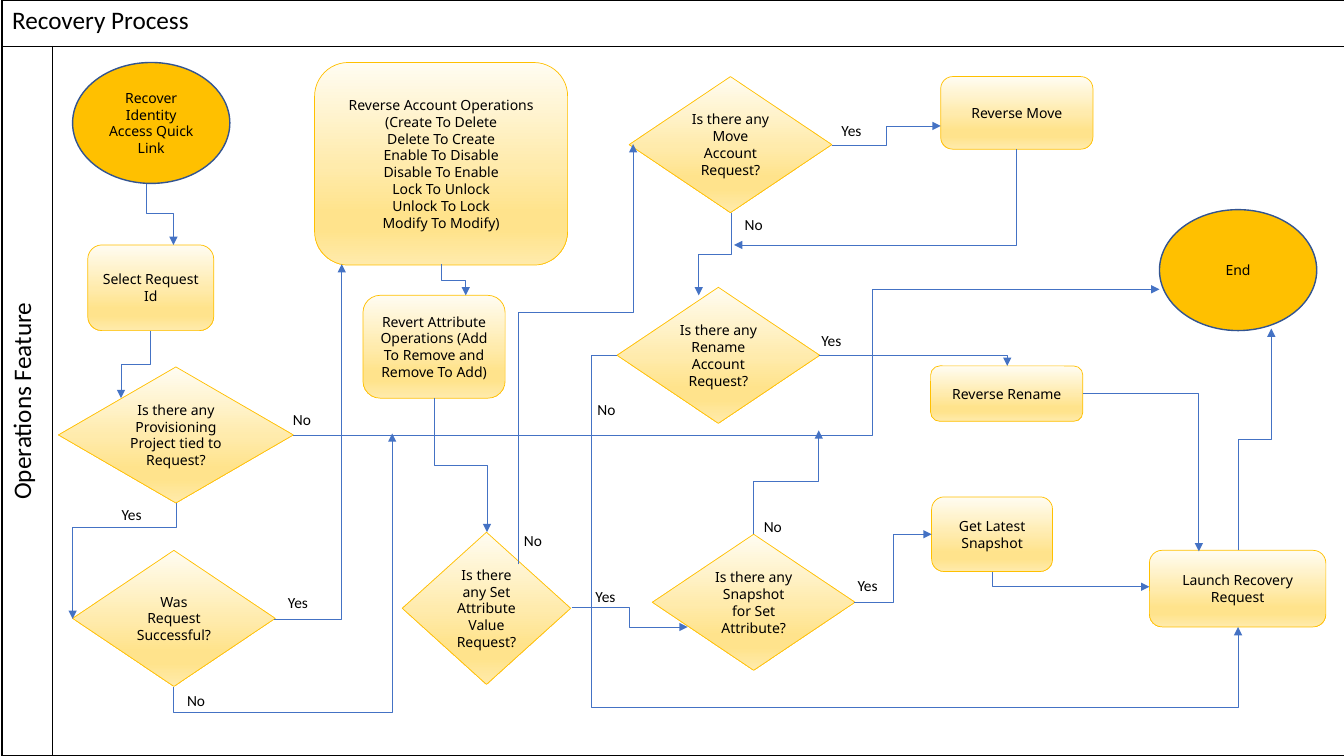
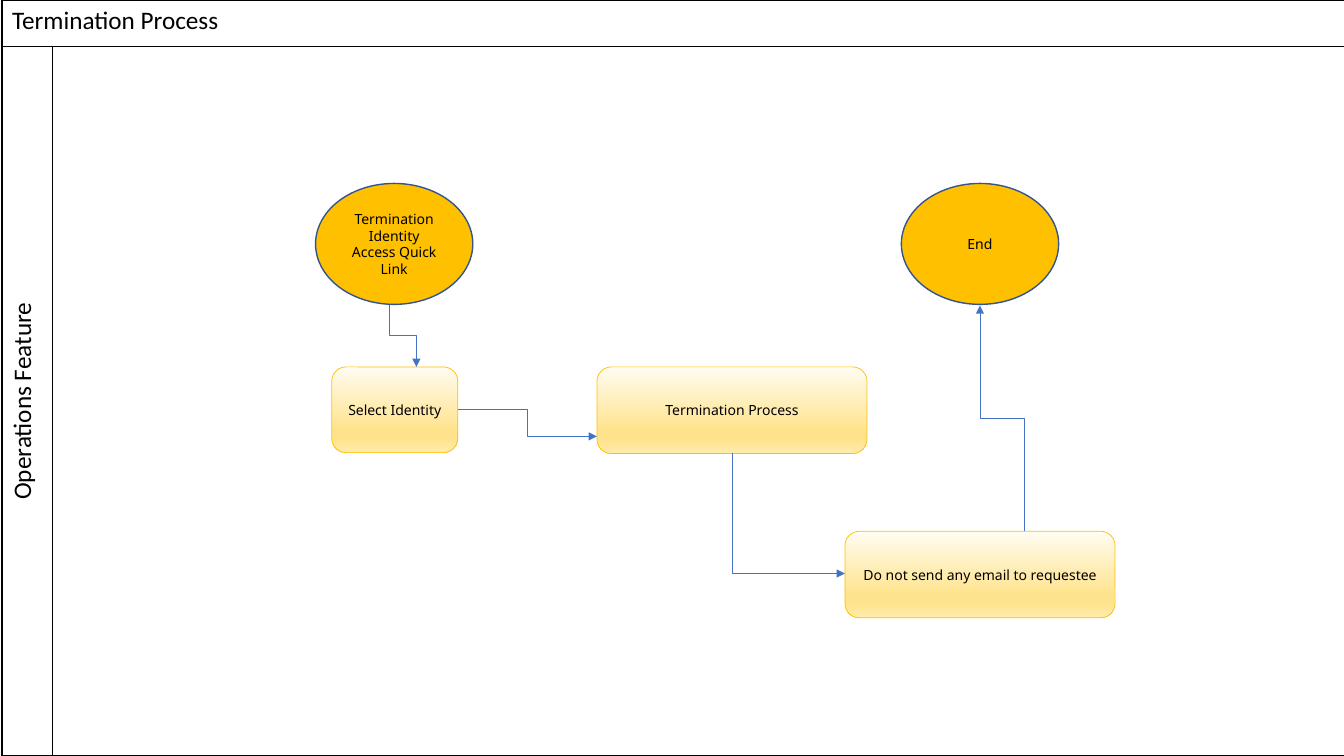
"""Build the recovery and termination flowcharts as a two-slide deck."""
from dataclasses import dataclass

from lxml import etree
from pptx import Presentation
from pptx import util as u
from pptx.dml.color import RGBColor
from pptx.enum import shapes, text
from pptx.oxml.ns import qn

PX = 9144
ROUND = shapes.MSO_SHAPE.ROUNDED_RECTANGLE
DIAMOND = shapes.MSO_SHAPE.DIAMOND
OVAL = shapes.MSO_SHAPE.OVAL


@dataclass(frozen=True)
class Theme:
    ink: str = "000000"
    arrow: str = "4472C4"
    gold: str = "FFC000"
    oval_line: str = "325491"
    gradient: tuple = ((0, "FFFCF2"), (51, "FFEBAC"), (74, "FFE38C"), (83, "FFE38C"), (100, "FFEBAC"))
    heading_font: str = "Calibri"
    node_font: str = "Noto Sans"
    heading_size: int = 18
    node_size: int = 10
    label_size: int = 11
    thin: float = 0.5
    border: int = 1


@dataclass(frozen=True)
class Node:
    kind: int
    left: int
    top: int
    width: int
    height: int
    words: str


@dataclass(frozen=True)
class Label:
    left: int
    top: int
    words: str


@dataclass(frozen=True)
class Chart:
    title: str
    nodes: tuple
    routes: tuple
    labels: tuple = ()


THEME = Theme()
LANE = "Operations Feature"
SLIDE_SIZE = (1333, 750)
FRAME_LEFT = 2
LANE_COLUMNS = (50, 1282)
LANE_ROWS = (46, 704)
OVAL_SIZE = (156, 120)
SELECT_SIZE = (125, 85)
CHOICE_SIZE = (201, 135)
STEP_SIZE = (268, 86)
LABEL_SIZE = (49, 34)

RECOVERY = Chart(
    "Recovery Process",
    nodes=(
        Node(OVAL, 72, 62, *OVAL_SIZE, "Recover Identity Access Quick Link"),
        Node(ROUND, 87, 243, *SELECT_SIZE, "Select Request Id"),
        Node(DIAMOND, 72, 546, *CHOICE_SIZE, "Was Request Successful?"),
        Node(DIAMOND, 58, 364, 233, 135, "Is there any Provisioning Project tied to Request?"),
        Node(DIAMOND, 624, 76, *CHOICE_SIZE, "Is there any Move Account Request?"),
        Node(DIAMOND, 612, 285, *CHOICE_SIZE, "Is there any Rename Account Request?"),
        Node(ROUND, 312, 62, 251, 201,
             "Reverse Account Operations\n(Create To Delete\nDelete To Create\nEnable To Disable\n"
             "Disable To Enable\nLock To Unlock\nUnlock To Lock\nModify To Modify)"),
        Node(ROUND, 360, 293, 141, 102, "Revert Attribute Operations (Add To Remove and Remove To Add)"),
        Node(DIAMOND, 399, 528, 167, 151, "Is there any Set Attribute Value Request?"),
        Node(DIAMOND, 647, 530, *CHOICE_SIZE, "Is there any Snapshot for Set Attribute?"),
        Node(ROUND, 933, 76, 151, 72, "Reverse Move"),
        Node(OVAL, 1150, 208, *OVAL_SIZE, "End"),
        Node(ROUND, 923, 363, 151, 55, "Reverse Rename"),
        Node(ROUND, 924, 493, 120, 74, "Get Latest Snapshot"),
        Node(ROUND, 1140, 546, 175, 76, "Launch Recovery Request"),
    ),
    routes=(
        ((291, 432), (865, 432), (865, 287), (1150, 287)),
        ((172, 682), (172, 707), (389, 707), (389, 430)),
        ((1228, 546), (1228, 436), (1261, 436), (1261, 326)),
        ((747, 530), (747, 478), (812, 478), (812, 427)),
        ((567, 603), (624, 603), (624, 622), (682, 622)),
        ((272, 614), (339, 614), (339, 262)),
        ((847, 598), (886, 598), (886, 530), (924, 530)),
        ((514, 560), (514, 310), (628, 310), (628, 143)),
        ((812, 353), (999, 353), (999, 363)),
        ((725, 211), (725, 252), (693, 252), (693, 293)),
        ((825, 144), (879, 144), (879, 125), (933, 125)),
        ((1008, 148), (1008, 243), (728, 243)),
        ((984, 567), (984, 582), (1140, 582)),
        ((1074, 390), (1189, 390), (1189, 547)),
        ((612, 353), (586, 353), (586, 702), (1228, 702), (1228, 622)),
        ((145, 182), (145, 212), (172, 212), (172, 243)),
        ((149, 328), (149, 362), (120, 362), (120, 395)),
        ((175, 499), (175, 523), (72, 523), (72, 614)),
        ((438, 262), (438, 278), (462, 278), (462, 293)),
        ((431, 395), (431, 462), (483, 462), (483, 528)),
    ),
    labels=(
        Label(170, 678, "No"),
        Label(576, 575, "Yes"),
        Label(836, 564, "Yes"),
        Label(106, 493, "Yes"),
        Label(800, 321, "Yes"),
        Label(820, 112, "Yes"),
        Label(723, 206, "No"),
        Label(577, 389, "No"),
        Label(275, 399, "No"),
        Label(271, 581, "Yes"),
        Label(504, 519, "No"),
        Label(742, 505, "No"),
    ),
)

TERMINATION = Chart(
    "Termination Process",
    nodes=(
        Node(OVAL, 313, 182, *OVAL_SIZE, "Termination Identity Access Quick Link"),
        Node(ROUND, 329, 364, *SELECT_SIZE, "Select Identity"),
        Node(ROUND, 592, 364, *STEP_SIZE, "Termination Process"),
        Node(OVAL, 894, 182, *OVAL_SIZE, "End"),
        Node(ROUND, 838, 527, *STEP_SIZE, "Do not send any email to requestee"),
    ),
    routes=(
        ((386, 303), (386, 333), (413, 333), (413, 364)),
        ((454, 406), (523, 406), (523, 433), (592, 433)),
        ((1016, 527), (1016, 415), (972, 415), (972, 303)),
        ((726, 449), (726, 569), (838, 569)),
    ),
)


def px(*lengths: float) -> list[u.Emu]:
    """Turn lengths in px into EMU."""
    return [u.Emu(round(length * PX)) for length in lengths]


def rgb(code: str) -> RGBColor:
    """Turn a hex code into a colour."""
    return RGBColor.from_string(code)


def add_child(parent, tag: str, **attributes: str):
    """Append an XML child with the given attributes."""
    return etree.SubElement(parent, qn(tag), attributes)


def write(frame, words: str, *, font: str, size: int, centred: bool = True) -> None:
    """Fill a text frame, one paragraph per line of text."""
    for index, line in enumerate(words.split("\n")):
        para = frame.add_paragraph() if index else frame.paragraphs[0]
        para.alignment = text.PP_ALIGN.CENTER if centred else text.PP_ALIGN.LEFT
        span = para.add_run()
        span.text = line
        span.font.name = font
        span.font.size = u.Pt(size)
        span.font.color.rgb = rgb(THEME.ink)


def outline(line, colour: str, width: float) -> None:
    """Give a line its colour and width."""
    line.color.rgb = rgb(colour)
    line.width = u.Pt(width)


def border_cell(cell) -> None:
    """Clear the fill of a table cell and draw its four borders."""
    cell.fill.background()
    properties = cell._tc.get_or_add_tcPr()
    for index, side in enumerate(("a:lnL", "a:lnR", "a:lnT", "a:lnB")):
        edge = add_child(properties, side, w=str(u.Pt(THEME.border)))
        add_child(add_child(edge, "a:solidFill"), "a:srgbClr", val=THEME.ink)
        properties.insert(index, edge)


def add_lane(page, title: str) -> None:
    """Draw the titled swim lane that frames a page."""
    place = px(FRAME_LEFT, 0, sum(LANE_COLUMNS), sum(LANE_ROWS))
    table = page.shapes.add_table(2, 2, *place).table
    table.first_row = table.horz_banding = False
    for column, width in zip(table.columns, px(*LANE_COLUMNS)):
        column.width = width
    for row, height in zip(table.rows, px(*LANE_ROWS)):
        row.height = height
    for cell in table.iter_cells():
        border_cell(cell)
    table.cell(0, 0).merge(table.cell(0, 1))
    style = {"font": THEME.heading_font, "size": THEME.heading_size}
    write(table.cell(0, 0).text_frame, title, centred=False, **style)
    lane = table.cell(1, 0)
    lane._tc.get_or_add_tcPr().set("vert", "vert270")
    write(lane.text_frame, LANE, **style)


def fill_gradient(box) -> None:
    """Fill a shape with the theme gradient from top to bottom."""
    box.fill.gradient()
    box.fill.gradient_angle = 270
    stops = box.element.spPr.find(".//" + qn("a:gsLst"))
    for stop in list(stops):
        stops.remove(stop)
    for percent, colour in THEME.gradient:
        stop = add_child(stops, "a:gs", pos=str(percent * 1000))
        add_child(stop, "a:srgbClr", val=colour)


def add_node(page, node: Node) -> None:
    """Draw one step, decision or terminal."""
    place = px(node.left, node.top, node.width, node.height)
    box = page.shapes.add_shape(node.kind, *place)
    box.shadow.inherit = False
    if node.kind == OVAL:
        box.fill.solid()
        box.fill.fore_color.rgb = rgb(THEME.gold)
        outline(box.line, THEME.oval_line, THEME.border)
    else:
        fill_gradient(box)
        outline(box.line, THEME.gold, THEME.thin)
    box.text_frame.word_wrap = True
    box.text_frame.vertical_anchor = text.MSO_ANCHOR.MIDDLE
    write(box.text_frame, node.words, font=THEME.node_font, size=THEME.node_size)


def add_route(page, points: tuple) -> None:
    """Draw a bent arrow through right-angled points."""
    start, end = points[0], points[-1]
    delta = (end[0] - start[0], end[1] - start[1])
    axis = int(start[0] == points[1][0])
    width, height = abs(delta[axis]), abs(delta[1 - axis])
    left = (start[0] + end[0] - width) / 2
    top = (start[1] + end[1] - height) / 2
    corners = px(left, top, left + width, top + height)
    arrow = page.shapes.add_connector(shapes.MSO_CONNECTOR.ELBOW, *corners)
    properties = arrow.element.spPr
    frame = properties.find(qn("a:xfrm"))
    frame.set("rot", str(axis * 90 * 60000))
    frame.set("flipH", str(int(delta[axis] < 0)))
    frame.set("flipV", str(int(delta[0] > 0 if axis else delta[1] < 0)))
    geometry = properties.find(qn("a:prstGeom"))
    geometry.set("prst", f"bentConnector{len(points) - 1}")
    guides = geometry.find(qn("a:avLst"))
    for index, point in enumerate(points[1:-2]):
        along = (axis + index) % 2
        share = round((point[along] - start[along]) / delta[along] * 100000)
        add_child(guides, "a:gd", name=f"adj{index + 1}", fmla=f"val {share}")
    outline(arrow.line, THEME.arrow, THEME.thin)
    add_child(properties.find(qn("a:ln")), "a:tailEnd", type="triangle")
    add_child(properties, "a:effectLst")


def add_label(page, label: Label) -> None:
    """Write the answer beside an arrow."""
    frame = page.shapes.add_textbox(*px(label.left, label.top, *LABEL_SIZE)).text_frame
    frame.word_wrap = True
    frame.vertical_anchor = text.MSO_ANCHOR.MIDDLE
    write(frame, label.words, font=THEME.heading_font, size=THEME.label_size)


def main() -> None:
    """Build and save the deck."""
    deck = Presentation()
    deck.slide_width, deck.slide_height = px(*SLIDE_SIZE)
    for chart in (RECOVERY, TERMINATION):
        page = deck.slides.add_slide(deck.slide_layouts[6])
        add_lane(page, chart.title)
        for node in chart.nodes:
            add_node(page, node)
        for route in chart.routes:
            add_route(page, route)
        for label in chart.labels:
            add_label(page, label)
    deck.save("out.pptx")


if __name__ == "__main__":
    main()
